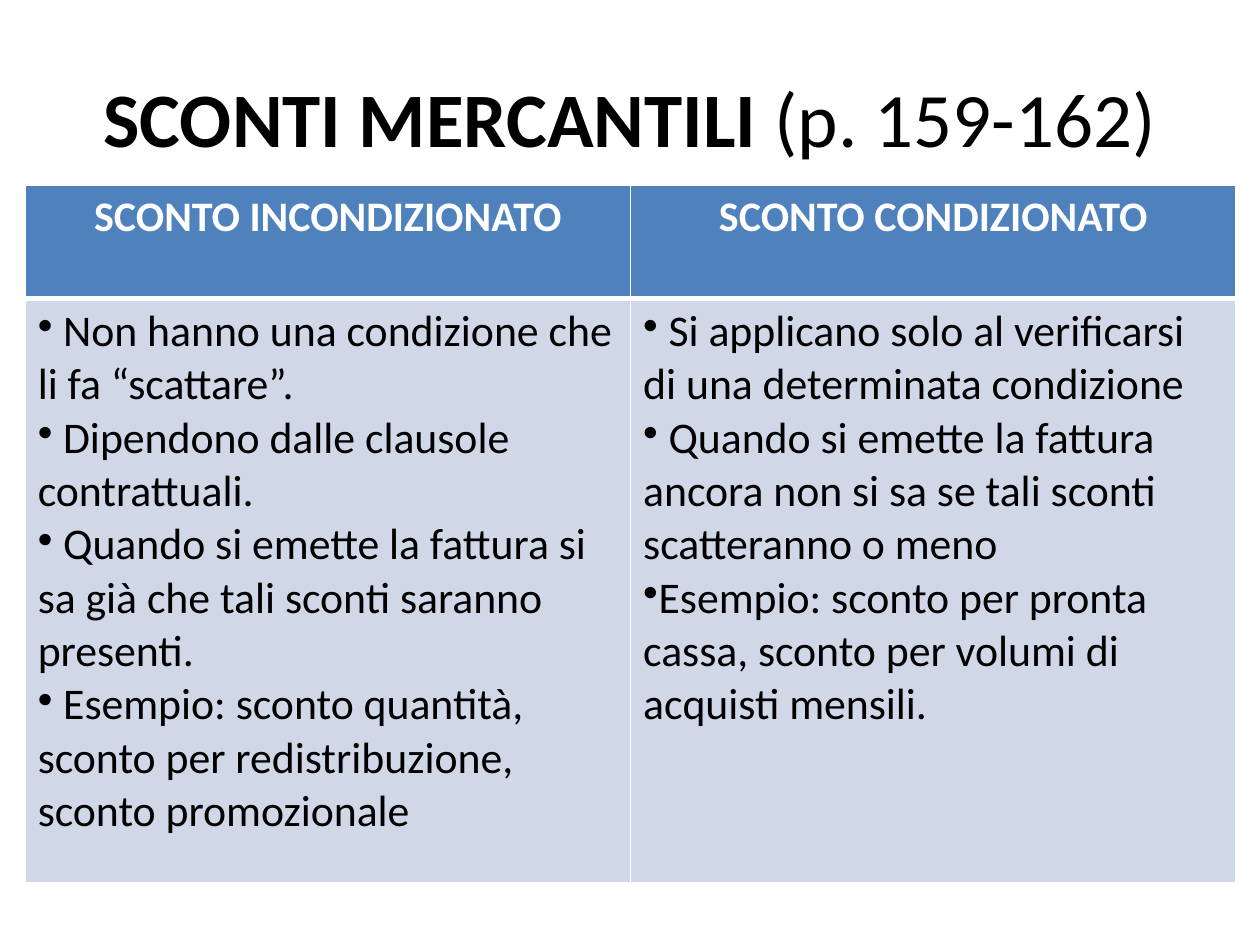
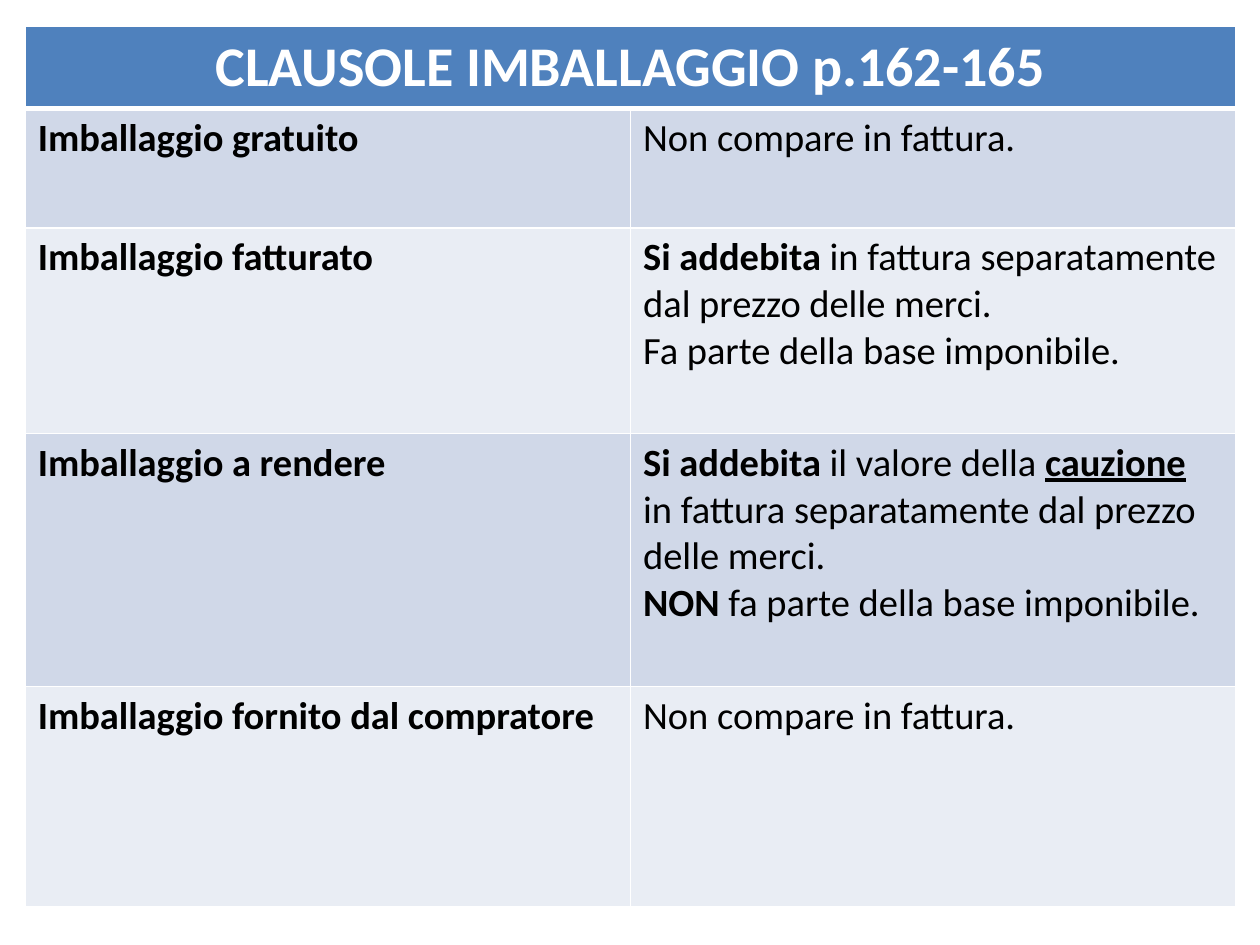
from lxml.etree import SubElement
from pptx import Presentation
from pptx.dml.color import RGBColor
from pptx.enum.text import MSO_ANCHOR, PP_ALIGN
from pptx.oxml import parse_xml
from pptx.oxml.ns import nsdecls, qn
from pptx.util import Inches, Pt

BLACK = RGBColor(0x00, 0x00, 0x00)
WHITE = RGBColor(0xFF, 0xFF, 0xFF)
HEADER_BLUE = RGBColor(0x4F, 0x81, 0xBD)
BANDS = (RGBColor(0xD0, 0xD8, 0xE8), RGBColor(0xE9, 0xED, 0xF4))
FONT = "Calibri"
TABLE_LEFT, TABLE_WIDTH = 0.2, 9.61

DISCOUNT_HEADERS = ["SCONTO INCONDIZIONATO", "SCONTO CONDIZIONATO"]
DISCOUNT_POINTS = [
    [
        " Non hanno una condizione che li fa “scattare”.",
        " Dipendono dalle clausole contrattuali.",
        " Quando si emette la fattura si sa già che tali sconti saranno presenti.",
        " Esempio: sconto quantità, sconto per redistribuzione, sconto promozionale",
    ],
    [
        " Si applicano solo al verificarsi di una determinata condizione",
        " Quando si emette la fattura ancora non si sa se tali sconti scatteranno o meno",
        "Esempio: sconto per pronta cassa, sconto per volumi di acquisti mensili.",
    ],
]

PACKAGING_HEADER = "CLAUSOLE IMBALLAGGIO p.162-165"
PACKAGING_CLAUSES = [
    ("Imballaggio gratuito", [[("Non compare in fattura.", "")]]),
    ("Imballaggio fatturato", [
        [("Si addebita", "b"),
         (" in fattura separatamente dal prezzo delle merci. ", "")],
        [("Fa parte della base imponibile.", "")],
    ]),
    ("Imballaggio a rendere", [
        [("Si addebita ", "b"), ("il valore della ", ""), ("cauzione", "bu"),
         (" ", "b"), ("in fattura separatamente dal prezzo delle merci. ", "")],
        [("NON", "b"), (" fa parte della base imponibile.", "")],
    ]),
    ("Imballaggio fornito dal compratore", [[("Non compare in fattura.", "")]]),
]


def write_text(frame, paragraphs, size, color, align=PP_ALIGN.LEFT, bullet=None):
    frame.word_wrap = True
    for index, spans in enumerate(paragraphs):
        para = frame.add_paragraph() if index else frame.paragraphs[0]
        para.alignment = align
        para.font.name, para.font.size = FONT, Pt(size)
        para.font.color.rgb = color
        if bullet:
            properties = para._p.get_or_add_pPr()
            properties.set("marL", "0")
            properties.set("indent", "0")
            mark = parse_xml(f'<a:buChar {nsdecls("a")} char="{bullet}"/>')
            properties.insert(0, mark)
        for text, style in spans:
            span = para.add_run()
            span.text = text
            span.font.bold = "b" in style
            span.font.underline = "u" in style


def set_borders(cell, **widths):
    properties = cell._tc.get_or_add_tcPr()
    for side in "LRTB":
        line = SubElement(properties, qn(f"a:ln{side}"), w=str(Pt(widths.get(side, 1))))
        fill = SubElement(line, qn("a:solidFill"))
        SubElement(fill, qn("a:srgbClr"), val=str(WHITE))


def add_grid(page, top, row_heights):
    frame = page.shapes.add_table(
        len(row_heights), 2, Inches(TABLE_LEFT), Inches(top),
        Inches(TABLE_WIDTH), Inches(sum(row_heights)))
    table = frame.table
    for column in table.columns:
        column.width = Inches(TABLE_WIDTH / 2)
    for index, height in enumerate(row_heights):
        table.rows[index].height = Inches(height)
        for cell in table.rows[index].cells:
            set_borders(cell, B=1 if index else 3, T=3 if index == 1 else 1)
            cell.fill.solid()
            cell.fill.fore_color.rgb = BANDS[(index - 1) % 2] if index else HEADER_BLUE
    return table


def write_header(cell, text, size):
    write_text(cell.text_frame, [[(text, "b")]], size, WHITE, PP_ALIGN.CENTER)


def add_title(page, left, top, width, height, spans):
    box = page.shapes.add_textbox(
        Inches(left), Inches(top), Inches(width), Inches(height))
    box.text_frame.vertical_anchor = MSO_ANCHOR.MIDDLE
    write_text(box.text_frame, [spans], 44, BLACK, PP_ALIGN.CENTER)


def build_discounts(page):
    add_title(page, 0.5, 0.3, 9, 1.25,
              [("SCONTI MERCANTILI ", "b"), ("(p. 159-162)", "")])
    table = add_grid(page, 1.47, [0.9, 4.64])
    for column, (header, points) in enumerate(zip(DISCOUNT_HEADERS, DISCOUNT_POINTS)):
        write_header(table.cell(0, column), header, 24)
        write_text(table.cell(1, column).text_frame,
                   [[(point, "")] for point in points], 25, BLACK, bullet="•")


def build_packaging(page):
    table = add_grid(page, 0.21, [0.65, 0.95, 1.63, 2.01, 1.75])
    table.cell(0, 0).merge(table.cell(0, 1))
    write_header(table.cell(0, 0), PACKAGING_HEADER, 32)
    for row, (clause, effects) in enumerate(PACKAGING_CLAUSES, start=1):
        write_text(table.cell(row, 0).text_frame, [[(clause, "b")]], 22, BLACK)
        write_text(table.cell(row, 1).text_frame, effects, 22, BLACK)


deck = Presentation()
deck.slide_width, deck.slide_height = Inches(10), Inches(7.5)
for build in (build_discounts, build_packaging):
    build(deck.slides.add_slide(deck.slide_layouts[6]))
deck.save("out.pptx")
